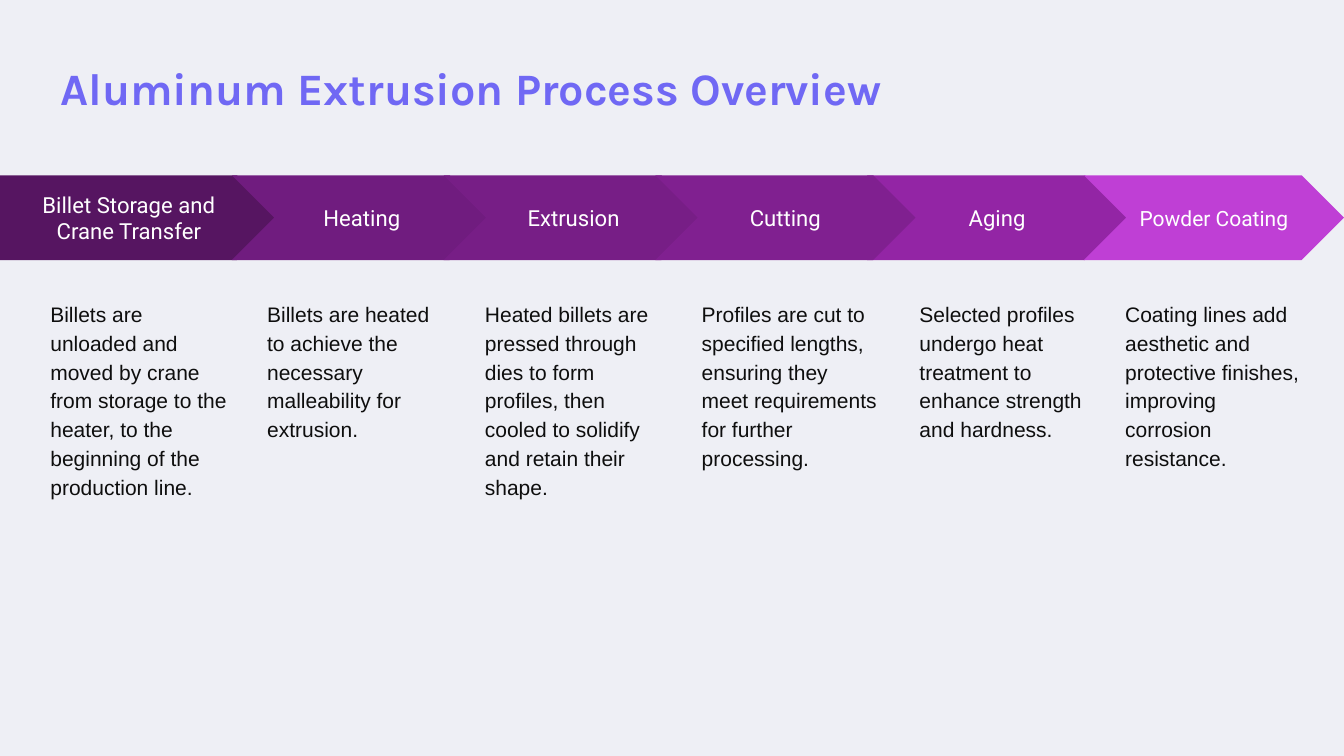
from pptx import Presentation
from pptx.dml.color import RGBColor
from pptx.enum.shapes import MSO_SHAPE
from pptx.enum.text import MSO_ANCHOR, PP_ALIGN
from pptx.util import Inches, Pt

# Back to front: label, size, fill, arrow left, arrow width, text left, description
STAGES = [
    ("Billet Storage and Crane Transfer", 15.8, "561561", 0, 2.77, 0.37,
     "Billets are unloaded and moved by crane from storage to the heater, "
     "to the beginning of the production line."),
    ("Heating", 15.8, "701C7F", 2.3, 2.58, 2.52,
     "Billets are heated to achieve the necessary malleability for extrusion."),
    ("Extrusion", 15.8, "771E86", 4.4, 2.58, 4.68,
     "Heated billets are pressed through dies to form profiles, "
     "then cooled to solidify and retain their shape."),
    ("Aging", 15.8, "9325A5", 8.6, 2.58, 8.99,
     "Selected profiles undergo heat treatment to enhance strength and hardness."),
    ("Cutting", 15.8, "802090", 6.5, 2.58, 6.83,
     "Profiles are cut to specified lengths, ensuring they meet requirements "
     "for further processing."),
    ("Powder Coating", 15, "BF3FD5", 10.75, 2.58, 11.03,
     "Coating lines add aesthetic and protective finishes, "
     "improving corrosion resistance."),
]


def set_fill(fill, color):
    fill.solid()
    fill.fore_color.rgb = RGBColor.from_string(color)


def set_text(sp, text, font, size, color, margin, anchor, align, spacing, bold=False):
    tf = sp.text_frame
    tf.word_wrap = True
    tf.vertical_anchor = anchor
    tf.margin_left = tf.margin_right = tf.margin_top = tf.margin_bottom = Inches(margin)
    p = tf.paragraphs[0]
    p.text = text
    p.alignment = align
    p.line_spacing = spacing
    p.font.name = font
    p.font.size = Pt(size)
    p.font.bold = bold
    p.font.color.rgb = RGBColor.from_string(color)


def add_title(slide, left, top, width, height):
    sp = slide.shapes.title
    sp.left, sp.top, sp.width, sp.height = map(Inches, (left, top, width, height))
    set_text(sp, "Aluminum Extrusion Process Overview", "Karla", 32.1, "7068F4",
             0, MSO_ANCHOR.TOP, PP_ALIGN.LEFT, 1.25, bold=True)


def add_arrow(slide, preset, label, size, color, left, top, width, height):
    sp = slide.shapes.add_shape(preset, *map(Inches, (left, top, width, height)))
    sp.shadow.inherit = False
    set_fill(sp.fill, color)
    sp.line.fill.background()
    set_text(sp, label, "Roboto", size, "FFFFFF", 0.13,
             MSO_ANCHOR.MIDDLE, PP_ALIGN.CENTER, 1)


def add_description(slide, text, left, top, width, height):
    sp = slide.shapes.add_textbox(*map(Inches, (left, top, width, height)))
    set_text(sp, text, "Arial", 15, "0E0E0E", 0.13, MSO_ANCHOR.TOP, PP_ALIGN.LEFT, 1.15)


def add_process(slide, top):
    """Place the band of arrows at top, with the descriptions below it."""
    for i, (label, size, color, left, width, text_left, text) in enumerate(STAGES):
        preset = MSO_SHAPE.CHEVRON if i else MSO_SHAPE.PENTAGON
        add_arrow(slide, preset, label, size, color, left, top, width, 0.84)
        add_description(slide, text, text_left, top + 1.08, 2.03, 2.94)


def main():
    prs = Presentation()
    prs.slide_width, prs.slide_height = Inches(13.33), Inches(7.5)
    slide = prs.slides.add_slide(prs.slide_layouts[5])
    set_fill(slide.background.fill, "EEEFF5")
    add_title(slide, 0.6, 0.47, 12.11, 0.56)
    add_process(slide, 1.74)
    prs.save("out.pptx")


if __name__ == "__main__":
    main()
